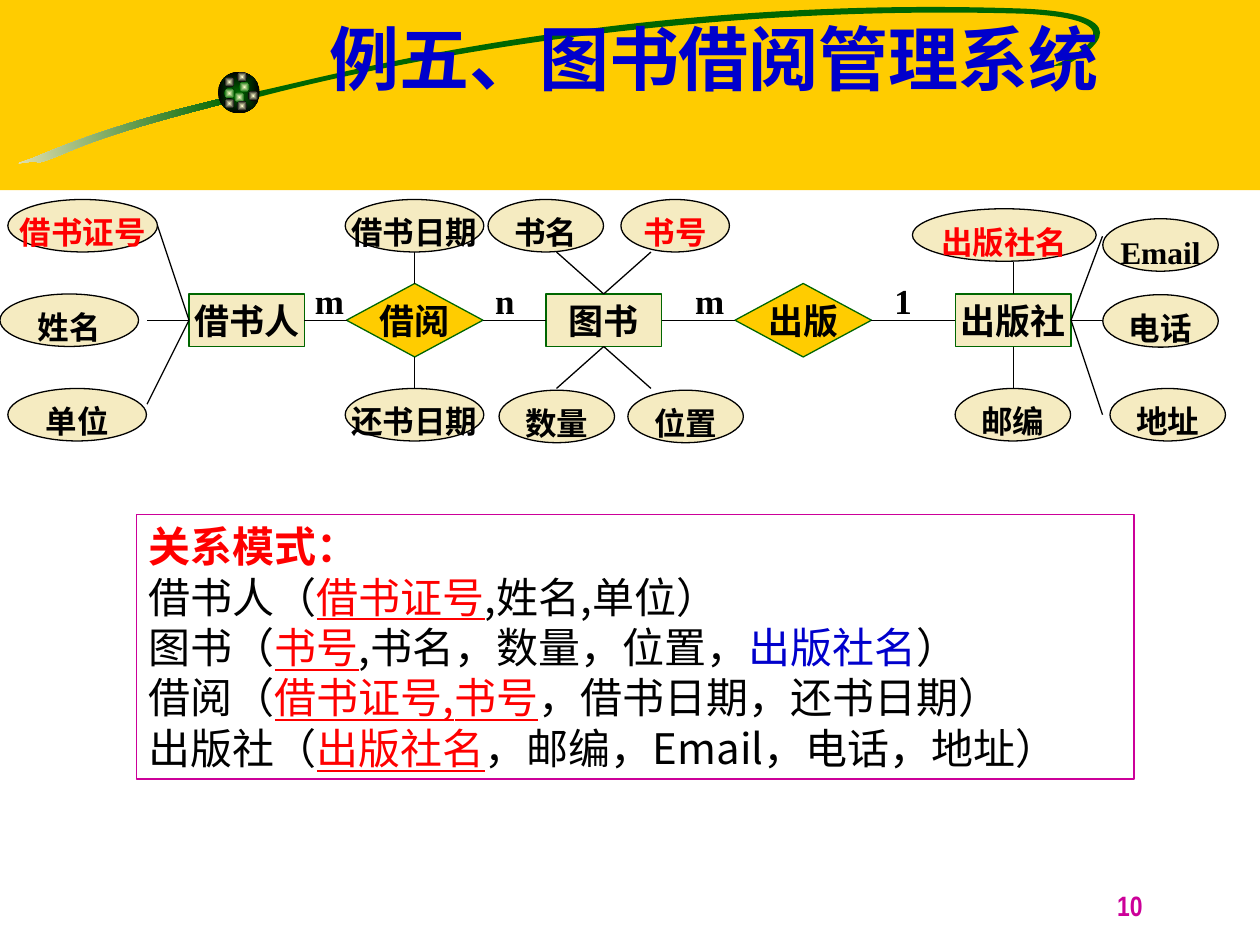
from math import cos, radians, sin

from lxml.etree import SubElement
from pptx import Presentation
from pptx.dml.color import RGBColor
from pptx.enum.shapes import MSO_CONNECTOR, MSO_SHAPE
from pptx.enum.text import MSO_ANCHOR as Anchor, PP_ALIGN as Align
from pptx.oxml.ns import qn
from pptx.util import Pt

WHITE = RGBColor(0xFF, 0xFF, 0xFF)
GOLD = RGBColor(0xFF, 0xCC, 0x00)
CREAM = RGBColor(0xF5, 0xEB, 0xC1)
PALE = RGBColor(0xFF, 0xFF, 0xCC)
GREEN = RGBColor(0x00, 0x66, 0x00)
BLACK = RGBColor(0x00, 0x00, 0x00)
RED = RGBColor(0xFF, 0x00, 0x00)
BLUE = RGBColor(0x00, 0x00, 0xCC)
MAGENTA = RGBColor(0xCC, 0x00, 0x99)

SERIF = "Times New Roman"
SANS = "Noto Sans CJK SC"
TITLE_FONT = "Noto Sans CJK JP"
TOP, LEFT, BOTTOM, RIGHT = range(4)
AXIS_Y = 183
TILT = -8.5
LEADING = 1.2

# Start point, then cubic segments: two control points and an end point
TAIL = [(128, 56),
        (65.5, 70.6), (35.3, 83.5), (18, 90.7),
        (0.7, 96.5), (18.7, 90.7), (22.3, 92.9),
        (41, 87.8), (41, 81.4), (128.9, 59),
        (128.9, 59), (128, 56), (128, 56)]
SWOOSH = [(145.4, 52.6),
          (177, 46.8), (350, -3.6), (586, 5),
          (660, 8.6), (617, 33.8), (608.4, 37.4),
          (608.4, 37.4), (603.4, 37.4), (600.5, 38.2),
          (607.7, 35.3), (659.5, 11.5), (585.4, 7.9),
          (394.6, 2.2), (230.4, 33.8), (148.3, 55.4),
          (148.3, 55.4), (145.4, 52.6), (145.4, 52.6)]

# Left, top and outer colour of the lights on the ball
LIGHTS = [(136.8, 46.8, GREEN), (128.2, 43.9, BLACK), (128.2, 50.4, GREEN),
          (133.9, 52.6, GREEN), (141.8, 51.8, BLACK), (135.4, 57.6, BLACK),
          (128.2, 56.2, BLACK), (135.4, 41, BLACK)]

ENTITIES = [("借书人", 108), ("图书", 312), ("出版社", 546)]
RELATIONSHIPS = [("借阅", 198), ("出版", 420)]
CARDINALITIES = [("m", 172.8), ("n", 275.8), ("m", 390.2), ("1", 504)]

# Name, left, top, width, colour
ATTRIBUTES = [
    ("借书证号", 4.5, 114, 85.5, RED), ("姓名", 0, 168, 79.2, BLACK),
    ("单位", 4.5, 222, 79.2, BLACK),
    ("借书日期", 197.3, 114, 79.2, BLACK), ("还书日期", 197.3, 222, 79.2, BLACK),
    ("书名", 278.9, 114, 66, BLACK), ("书号", 354.8, 114, 62, RED),
    ("数量", 285.2, 223, 66, BLACK), ("位置", 358.8, 223, 66, BLACK),
    ("Email", 630.2, 125, 66, BLACK), ("电话", 630.2, 168.4, 66, BLACK),
    ("地址", 634.3, 222, 66, BLACK),
    ("出版社名", 521.4, 119.3, 105, RED), ("邮编", 545.8, 222, 66, BLACK),
]

# Node, side of the node, point near the attribute
ATTRIBUTE_LINKS = [
    ("借书人", LEFT, (90, 129)), ("借书人", LEFT, (84, AXIS_Y)),
    ("借书人", LEFT, (84, 231)),
    ("借阅", TOP, (237, 144)), ("借阅", BOTTOM, (237, 222)),
    ("图书", TOP, (318, 144)), ("图书", TOP, (372, 144)),
    ("图书", BOTTOM, (318, 222)), ("图书", BOTTOM, (372, 222)),
    ("出版社", TOP, (579, 150)), ("出版社", BOTTOM, (579, 222)),
    ("出版社", RIGHT, (630, 135)), ("出版社", RIGHT, (630, AXIS_Y)),
    ("出版社", RIGHT, (630, 237)),
]
CHAIN = ["借书人", "借阅", "图书", "出版", "出版社"]

# Relation, key, plain attributes, foreign key, ending
SCHEMAS = [
    ("借书人（", "借书证号", ",姓名,单位）", "", ""),
    ("图书（", "书号", ",书名，数量，位置，", "出版社名", "）"),
    ("借阅（", "借书证号,书号", "，借书日期，还书日期）", "", ""),
    ("出版社（", "出版社名", "，邮编，Email，电话，地址）", "", ""),
]


def add_run(paragraph, text, size=20, font=SERIF, color=BLACK, bold=True, underline=False):
    run = paragraph.add_run()
    run.text = text
    run.font.size = Pt(size)
    run.font.name = font
    run.font.bold = bold
    run.font.underline = underline
    run.font.color.rgb = color
    SubElement(run.font._element, qn("a:ea"), typeface=SANS if font == SERIF else font)
    if not text.isascii() and font != TITLE_FONT:
        paragraph.line_spacing = Pt(size * LEADING)


def write(shape, text, align=Align.CENTER, anchor=Anchor.MIDDLE, wrap=False, **style):
    frame = shape.text_frame
    frame.word_wrap = wrap
    frame.vertical_anchor = anchor
    paragraph = frame.paragraphs[0]
    paragraph.alignment = align
    add_run(paragraph, text, **style)


def add_label(slide, text, left, top, width, height, **style):
    box = slide.shapes.add_textbox(Pt(left), Pt(top), Pt(width), Pt(height))
    write(box, text, wrap=True, **style)


def paint(shape, fill, line=None):
    shape.shadow.inherit = False
    shape.fill.solid()
    shape.fill.fore_color.rgb = fill
    if line is None:
        shape.line.fill.background()
    else:
        shape.line.color.rgb = line
        shape.line.width = Pt(0.75)


def paint_gradient(shape, first, last, from_center=False):
    paint(shape, first)
    shape.fill.gradient()
    shape.fill.gradient_angle = 0
    for stop, color in zip(shape.fill.gradient_stops, (first, last)):
        stop.color.rgb = color
    if from_center:
        gradient = shape._element.spPr.find(qn("a:gradFill"))
        gradient.remove(gradient.find(qn("a:lin")))
        center = SubElement(gradient, qn("a:path"), path="rect")
        SubElement(center, qn("a:fillToRect"), l="50000", t="50000", r="50000", b="50000")


def add_preset(slide, kind, left, top, width, height):
    return slide.shapes.add_shape(kind, Pt(left), Pt(top), Pt(width), Pt(height))


def add_node(slide, kind, text, left, top, width, height, fill, line, **style):
    node = add_preset(slide, kind, left, top, width, height)
    paint(node, fill, line)
    write(node, text, **style)
    return node


def rotate(x, y, degrees):
    c, s = cos(radians(degrees)), sin(radians(degrees))
    return x * c - y * s, x * s + y * c


def add_curve(slide, points):
    """Closed cubic outline, drawn level and then tilted into place."""
    level = [rotate(Pt(x), Pt(y), -TILT) for x, y in points]
    builder = slide.shapes.build_freeform(*level[0])
    builder.add_line_segments(level[1:], close=True)
    curve = builder.convert_to_shape()
    lines = list(curve._element.iter(qn("a:lnTo")))
    for i in range(0, len(points) - 1, 3):
        cubic = lines[i].makeelement(qn("a:cubicBezTo"))
        lines[i].addprevious(cubic)
        for line in lines[i:i + 3]:
            cubic.append(line[0])
            line.getparent().remove(line)
    x, y = rotate(curve.left + curve.width / 2, curve.top + curve.height / 2, TILT)
    curve.left, curve.top = int(x - curve.width / 2), int(y - curve.height / 2)
    curve.rotation = TILT
    return curve


def add_link(slide, node, side, point=(0, 0), target=None):
    """Line from a node's side to a point, or to the left side of a target node."""
    x, y = point
    link = slide.shapes.add_connector(MSO_CONNECTOR.STRAIGHT, 0, 0, Pt(x), Pt(y))
    link.begin_connect(node, side)
    if target is not None:
        link.end_connect(target, LEFT)
    link.line.color.rgb = BLACK
    link.line.width = Pt(0.75)
    SubElement(link._element.spPr, qn("a:effectLst"))


def add_backdrop(slide):
    paint(add_preset(slide, MSO_SHAPE.RECTANGLE, 0, 0, 720, 108.7), GOLD)
    paint_gradient(add_curve(slide, TAIL), CREAM, GREEN)
    paint(add_curve(slide, SWOOSH), GREEN)
    ball = add_preset(slide, MSO_SHAPE.OVAL, 124.6, 41, 23.8, 23.8)
    paint_gradient(ball, GREEN, BLACK, from_center=True)
    for left, top, edge in LIGHTS:
        light = add_preset(slide, MSO_SHAPE.OVAL, left, top, 5.8, 5.8)
        paint_gradient(light, PALE, edge, from_center=True)
    veil = add_preset(slide, MSO_SHAPE.RECTANGLE, 53.3, 148.3, 87.8, 391.7)
    paint(veil, WHITE)
    SubElement(next(veil._element.spPr.iter(qn("a:srgbClr"))), qn("a:alpha"), val="50000")


def add_er_diagram(slide):
    nodes = {}
    for name, left in ENTITIES:
        nodes[name] = add_node(slide, MSO_SHAPE.RECTANGLE, name, left, AXIS_Y - 15,
                               66, 30, CREAM, GREEN)
    for name, left in RELATIONSHIPS:
        nodes[name] = add_node(slide, MSO_SHAPE.DIAMOND, name, left, AXIS_Y - 21,
                               78, 42, GOLD, GREEN)
    for name, following in zip(CHAIN, CHAIN[1:]):
        add_link(slide, nodes[name], RIGHT, target=nodes[following])
    for name, side, point in ATTRIBUTE_LINKS:
        add_link(slide, nodes[name], side, point)
    for text, left in CARDINALITIES:
        add_label(slide, text, left, 156, 31, 31.5, align=Align.LEFT, anchor=Anchor.TOP)
    for name, left, top, width, color in ATTRIBUTES:
        add_node(slide, MSO_SHAPE.OVAL, name, left, top, width, 30, CREAM, BLACK,
                 anchor=Anchor.TOP, size=18, color=color)


def add_schemas(slide):
    box = add_preset(slide, MSO_SHAPE.RECTANGLE, 78, 294, 570, 151.2)
    paint(box, WHITE, MAGENTA)
    box.fill.background()
    write(box, "关系模式：", align=Align.LEFT, anchor=Anchor.TOP, wrap=True,
          size=24, font=SANS, color=RED)
    for relation, key, attributes, foreign_key, ending in SCHEMAS:
        paragraph = box.text_frame.add_paragraph()
        paragraph.alignment = Align.LEFT
        for text, color in ((relation, BLACK), (key, RED), (attributes, BLACK),
                            (foreign_key, BLUE), (ending, BLACK)):
            if text:
                add_run(paragraph, text, size=24, font=SANS, color=color,
                        bold=False, underline=color == RED)


def main():
    deck = Presentation()
    deck.slide_width, deck.slide_height = Pt(720), Pt(540)
    slide = deck.slides.add_slide(deck.slide_layouts[6])
    add_backdrop(slide)
    add_label(slide, "10", 510, 504, 150, 36, align=Align.RIGHT, anchor=Anchor.TOP,
              size=16, font="Arial Narrow", color=MAGENTA)
    add_label(slide, "例五、图书借阅管理系统", 102, 0, 612, 66,
              size=40, font=TITLE_FONT, color=BLUE)
    add_er_diagram(slide)
    add_schemas(slide)
    deck.save("out.pptx")


if __name__ == "__main__":
    main()
